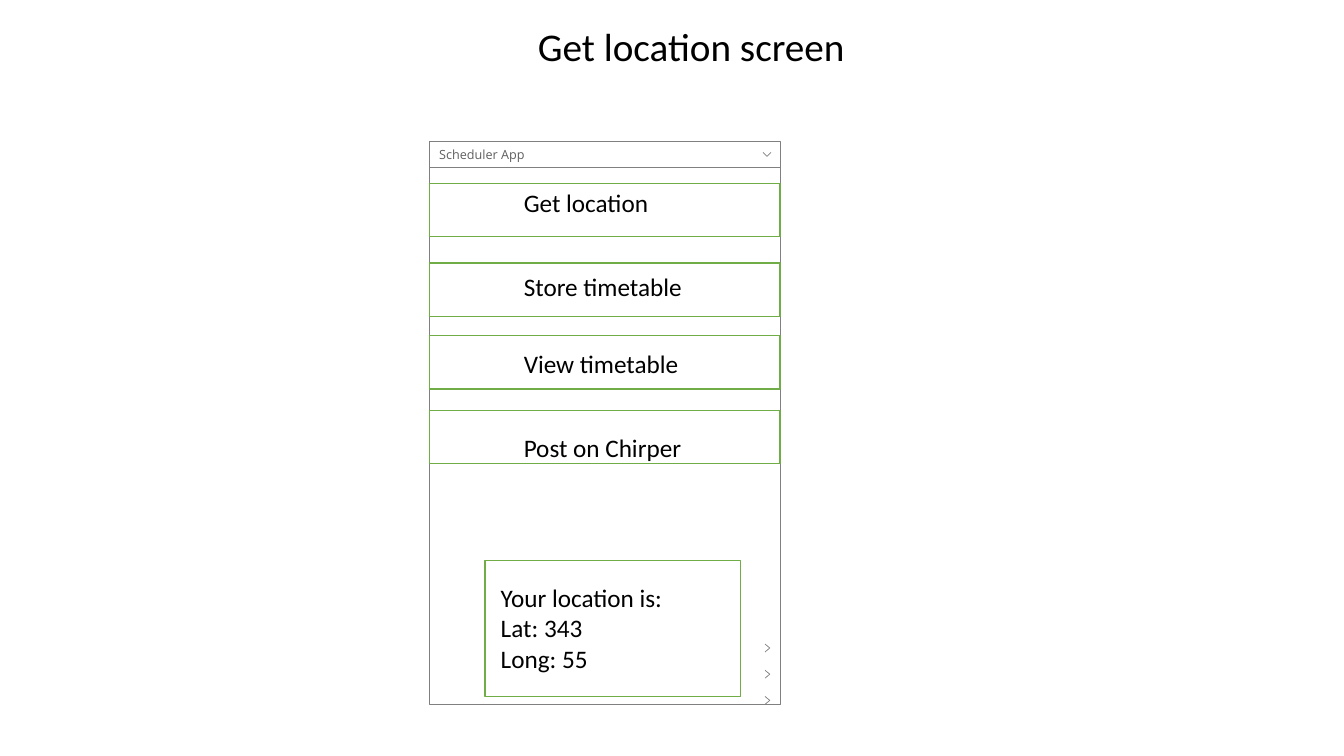
import pptx
import pptx.util
import pptx.dml.color
import pptx.enum.shapes
import pptx.enum.text

Cm, Pt = pptx.util.Cm, pptx.util.Pt
Align, Anchor = pptx.enum.text.PP_ALIGN, pptx.enum.text.MSO_ANCHOR
HUES = {"white": "FFFFFF", "black": "000000", "grey": "808080",
        "dim": "5F5F5F", "green": "70AD47"}


def hue(name):
    return pptx.dml.color.RGBColor.from_string(HUES[name])


class Page:
    font = "Calibri"

    def __init__(self, deck):
        self.slide = deck.slides.add_slide(deck.slide_layouts[5])
        self.shapes = self.slide.shapes

    def fill(self, frame, lines, size=18, font=None, color="black", align=Align.LEFT):
        for i, line in enumerate(lines):
            para = frame.paragraphs[0] if i == 0 else frame.add_paragraph()
            para.alignment = align
            run = para.add_run()
            run.text = line
            run.font.size = Pt(size)
            run.font.name = font or self.font
            run.font.color.rgb = hue(color)

    def title(self, text, left, top, width, height):
        head = self.shapes.title
        head.left, head.top = Cm(left), Cm(top)
        head.width, head.height = Cm(width), Cm(height)
        frame = head.text_frame
        frame.word_wrap = True
        frame.auto_size = pptx.enum.text.MSO_AUTO_SIZE.NONE
        frame.vertical_anchor = Anchor.TOP
        self.fill(frame, [text], size=28, align=Align.CENTER)
        frame.paragraphs[0].line_spacing = 0.9
        frame.paragraphs[0].space_before = Pt(10)

    def box(self, left, top, width, height, line="green", weight=1):
        box = self.shapes.add_shape(pptx.enum.shapes.MSO_SHAPE.RECTANGLE,
                                    Cm(left), Cm(top), Cm(width), Cm(height))
        box.shadow.inherit = False
        box.fill.solid()
        box.fill.fore_color.rgb = hue("white")
        box.line.color.rgb = hue(line)
        box.line.width = Pt(weight)
        return box

    def text(self, lines, left, top, width, height):
        frame = self.shapes.add_textbox(Cm(left), Cm(top), Cm(width), Cm(height)).text_frame
        frame.word_wrap = True
        frame.auto_size = pptx.enum.text.MSO_AUTO_SIZE.SHAPE_TO_FIT_TEXT
        self.fill(frame, lines)

    def mark(self, points):
        spots = [(Cm(x), Cm(y)) for x, y in points]
        pen = self.shapes.build_freeform(*spots[0])
        pen.add_line_segments(spots[1:], close=False)
        mark = pen.convert_to_shape()
        mark.shadow.inherit = False
        mark.fill.background()
        mark.line.color.rgb = hue("grey")
        mark.line.width = Pt(0.5)


def main():
    deck = pptx.Presentation()
    deck.slide_width, deck.slide_height = Cm(33.87), Cm(19.05)
    page = Page(deck)
    page.title("Get location screen", 4.72, 0.58, 25.4, 1.73)

    # App bar with its menu arrow
    left, width = 10.82, 8.84
    bar = page.box(left, 3.56, width, 0.66, "grey", 0.5)
    frame = bar.text_frame
    frame.margin_left, frame.margin_right = Cm(0.25), Cm(0.64)
    frame.vertical_anchor = Anchor.MIDDLE
    page.fill(frame, ["Scheduler App"], 9, "Open Sans", "dim")
    page.mark([(19.23, 3.84), (19.33, 3.94), (19.43, 3.84)])

    # Screen body with row arrows
    page.box(left, 4.22, width, 13.54, "grey", 0.5)
    for row in range(3):
        mid = 16.33 + 0.66 * row
        page.mark([(19.28, mid - 0.1), (19.4, mid), (19.28, mid + 0.1)])

    # Menu buttons: label, button top, label top
    menu = [("Get location", 4.62, 4.6), ("Store timetable", 6.63, 6.71),
            ("View timetable", 8.46, 8.66), ("Post on Chirper", 10.34, 10.77)]
    for label, top, high in menu:
        page.box(left, top, width, 1.34)
        page.text([label], 12.95, high, 5, 1.03)

    # Location result
    page.box(12.22, 14.12, 6.45, 3.44)
    page.text(["Your location is:", "Lat: 343", "Long: 55"], 12.37, 14.55, 6.25, 2.56)

    deck.save("out.pptx")


if __name__ == "__main__":
    main()
